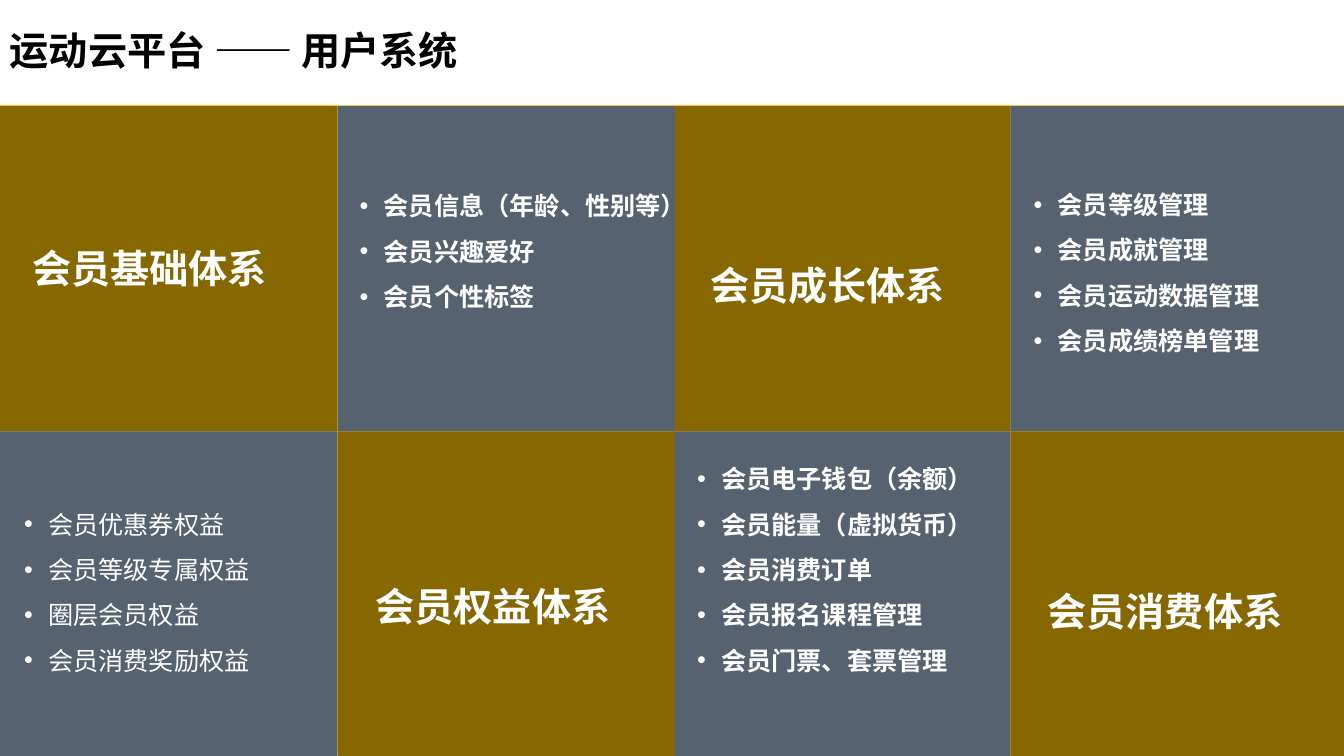
from pptx import Presentation
from pptx.dml.color import RGBColor
from pptx.enum.shapes import MSO_SHAPE
from pptx.oxml.ns import qn
from pptx.util import Inches, Pt
from lxml import etree

RECTANGLE = MSO_SHAPE.RECTANGLE
GOLD, SLATE, YELLOW = "866700", "576271", "FFD65D"
WHITE, BLACK = "FFFFFF", "000000"
CJK_FONT = "Noto Sans CJK SC"
COLUMN_EDGES = [0, 3.35, 6.7, 10.03, 13.34]
ROW_EDGES = [1.05, 4.28, 7.5]
BULLET_INDENT = 0.24

# left, top, width, text
HEADINGS = [
    (0.22, 2.14, 2.79, "会员基础体系"),
    (6.95, 2.31, 2.8, "会员成长体系"),
    (3.63, 5.49, 2.79, "会员权益体系"),
    (10.3, 5.54, 2.79, "会员消费体系"),
]

# left, top, width, bold, items
LISTS = [
    (3.47, 1.69, 3.48, True,
     ["会员信息（年龄、性别等）", "会员兴趣爱好", "会员个性标签"]),
    (10.16, 1.68, 3.15, True,
     ["会员等级管理", "会员成就管理", "会员运动数据管理", "会员成绩榜单管理"]),
    (6.82, 4.4, 3.48, True,
     ["会员电子钱包（余额）", "会员能量（虚拟货币）", "会员消费订单",
      "会员报名课程管理", "会员门票、套票管理"]),
    (0.14, 4.85, 3.48, False,
     ["会员优惠券权益", "会员等级专属权益", "圈层会员权益", "会员消费奖励权益"]),
]


def color(value):
    return RGBColor.from_string(value)


def add_tile(page, left, top, right, bottom, fill):
    tile = page.shapes.add_shape(RECTANGLE, Inches(left), Inches(top),
                                 Inches(right - left), Inches(bottom - top))
    tile.shadow.inherit = False
    tile.fill.solid()
    tile.fill.fore_color.rgb = color(fill)
    tile.line.fill.background()


def add_bullet(para):
    properties = para._p.get_or_add_pPr()
    properties.set("marL", str(Inches(BULLET_INDENT)))
    properties.set("indent", str(-Inches(BULLET_INDENT)))
    bullet_color = etree.SubElement(properties, qn("a:buClr"))
    etree.SubElement(bullet_color, qn("a:srgbClr"), val=WHITE)
    etree.SubElement(properties, qn("a:buFont"), typeface="Arial")
    etree.SubElement(properties, qn("a:buChar"), char="•")


def add_text(page, left, top, width, height, lines, size, font=CJK_FONT,
             fill=WHITE, bold=True, spacing=1.5, bullets=False):
    box = page.shapes.add_textbox(Inches(left), Inches(top),
                                  Inches(width), Inches(height))
    frame = box.text_frame
    frame.word_wrap = True
    for index, line in enumerate(lines):
        para = frame.add_paragraph() if index else frame.paragraphs[0]
        if bullets:
            add_bullet(para)
        para.line_spacing = spacing
        span = para.add_run()
        span.text = line
        span.font.size = Pt(size)
        span.font.bold = bold
        span.font.color.rgb = color(fill)
        span.font.name = font
        if font == CJK_FONT:
            etree.SubElement(span._r.get_or_add_rPr(), qn("a:ea"), typeface=font)


def add_checkerboard(page):
    add_tile(page, 0, 1.04, COLUMN_EDGES[-1], 7.49, YELLOW)
    for row, (top, bottom) in enumerate(zip(ROW_EDGES, ROW_EDGES[1:])):
        for column, (left, right) in enumerate(zip(COLUMN_EDGES, COLUMN_EDGES[1:])):
            fill = SLATE if (row + column) % 2 else GOLD
            add_tile(page, left, top, right, bottom, fill)


def main():
    deck = Presentation()
    deck.slide_width, deck.slide_height = Inches(13.34), Inches(7.5)
    page = deck.slides.add_slide(deck.slide_layouts[6])
    add_checkerboard(page)
    add_text(page, 0, 0.21, 4.84, 0.57, ["运动云平台 —— 用户系统"], 28,
             font="Cabin", fill=BLACK, spacing=1.0)
    for left, top, width, heading in HEADINGS:
        add_text(page, left, top, width, 0.8, [heading], 28)
    for left, top, width, bold, items in LISTS:
        add_text(page, left, top, width, 0.1 + 0.45 * len(items), items, 18,
                 bold=bold, bullets=True)
    deck.save("out.pptx")


if __name__ == "__main__":
    main()
